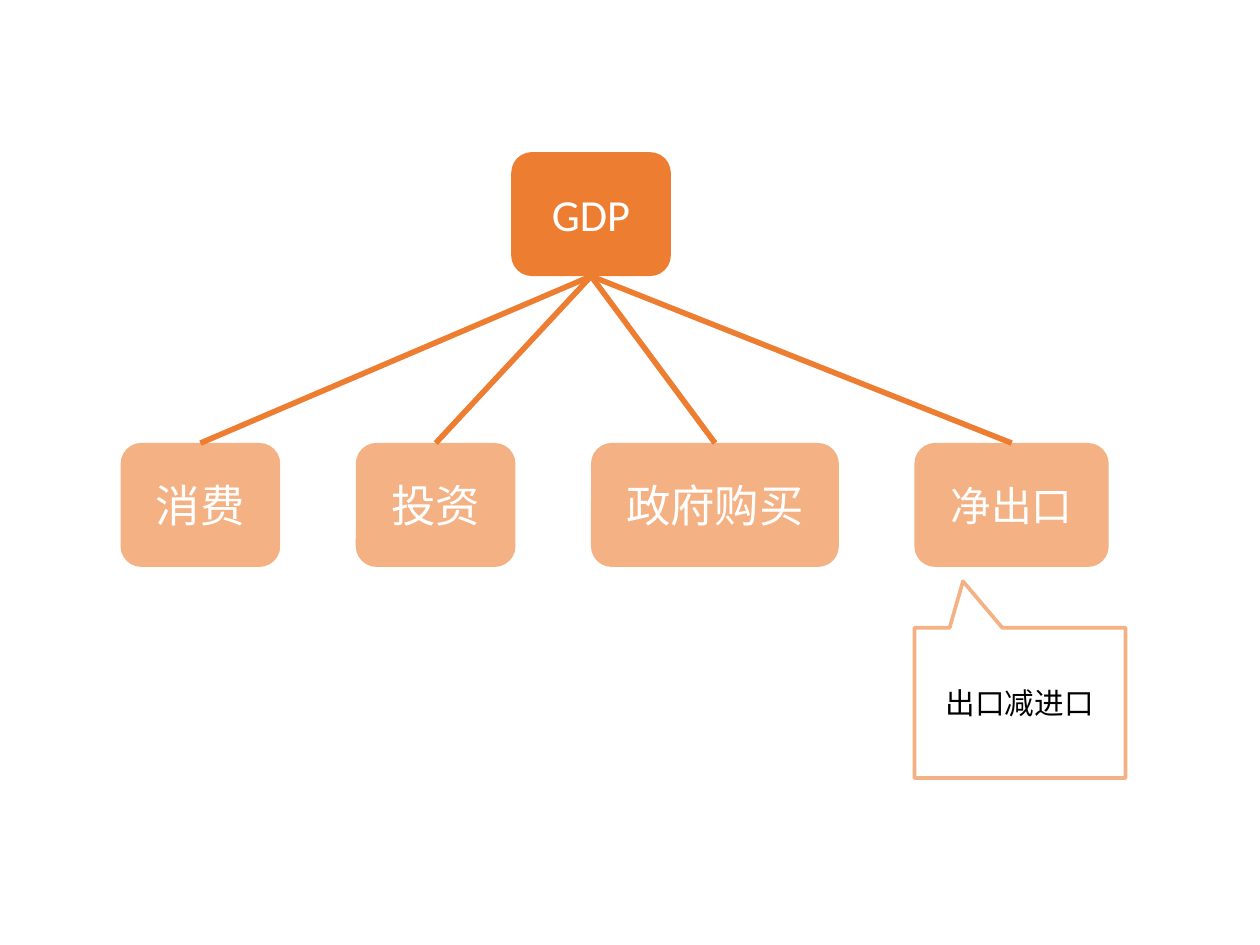
from dataclasses import dataclass

from lxml import etree
from pptx import Presentation
from pptx.dml.color import RGBColor
from pptx.enum.shapes import MSO_CONNECTOR, MSO_SHAPE
from pptx.enum.text import MSO_ANCHOR, PP_ALIGN
from pptx.oxml.ns import qn
from pptx.shapes.autoshape import Shape
from pptx.shapes.shapetree import SlideShapes
from pptx.util import Cm, Pt

ROUNDED = MSO_SHAPE.ROUNDED_RECTANGLE
CALLOUT = MSO_SHAPE.RECTANGULAR_CALLOUT
STRAIGHT = MSO_CONNECTOR.STRAIGHT
MIDDLE = MSO_ANCHOR.MIDDLE
CENTER = PP_ALIGN.CENTER
TOP_SITE, BOTTOM_SITE = 0, 2


@dataclass(frozen=True)
class Theme:
    strong: RGBColor = RGBColor(0xED, 0x7D, 0x31)
    soft: RGBColor = RGBColor(0xF4, 0xB1, 0x83)
    light_text: RGBColor = RGBColor(0xFF, 0xFF, 0xFF)
    dark_text: RGBColor = RGBColor(0x00, 0x00, 0x00)
    latin_font: str = "Calibri"
    chinese_font: str = "Noto Sans CJK SC"
    box_size: float = 12
    tight_size: float = 11
    note_size: float = 8
    branch_width: float = 1.5
    note_width: float = 1


THEME = Theme()


@dataclass(frozen=True)
class Component:
    label: str
    width: float
    size: float = THEME.box_size


COMPONENTS = [
    Component("消费", 1.52),
    Component("投资", 1.52),
    Component("政府购买", 2.36),
    Component("净出口", 1.85, THEME.tight_size),
]
FIRST_LEFT, COMPONENT_TOP, GAP = 1.15, 4.22, 0.72
BOX_HEIGHT = 1.18


def write_label(shape: Shape, label: str, size: float, color: RGBColor, font: str) -> None:
    frame = shape.text_frame
    frame.text = label
    frame.word_wrap = True
    frame.vertical_anchor = MIDDLE
    frame.margin_left = frame.margin_right = frame.margin_top = frame.margin_bottom = 0
    paragraph = frame.paragraphs[0]
    paragraph.alignment = CENTER
    run = paragraph.runs[0]
    run.font.size = Pt(size)
    run.font.color.rgb = color
    run.font.name = font
    east_asian = etree.SubElement(run._r.get_or_add_rPr(), qn("a:ea"))
    east_asian.set("typeface", THEME.chinese_font)


def add_box(shapes: SlideShapes, component: Component, left: float, top: float,
            fill: RGBColor) -> Shape:
    box = shapes.add_shape(ROUNDED, Cm(left), Cm(top), Cm(component.width), Cm(BOX_HEIGHT))
    box.shadow.inherit = False
    box.fill.solid()
    box.fill.fore_color.rgb = fill
    box.line.fill.background()
    write_label(box, component.label, component.size, THEME.light_text, THEME.latin_font)
    return box


def add_branch(shapes: SlideShapes, part: Shape, total: Shape) -> None:
    branch = shapes.add_connector(STRAIGHT, 0, 0, 0, 0)
    branch.begin_connect(part, TOP_SITE)
    branch.end_connect(total, BOTTOM_SITE)
    branch.line.color.rgb = THEME.strong
    branch.line.width = Pt(THEME.branch_width)
    etree.SubElement(branch._element.spPr, qn("a:effectLst"))


def add_note(shapes: SlideShapes, label: str, left: float, top: float) -> None:
    note = shapes.add_shape(CALLOUT, Cm(left), Cm(top), Cm(2.01), Cm(1.43))
    note.shadow.inherit = False
    note.adjustments[0] = -0.27
    note.adjustments[1] = -0.81
    note.fill.background()
    note.line.color.rgb = THEME.soft
    note.line.width = Pt(THEME.note_width)
    write_label(note, label, THEME.note_size, THEME.dark_text, THEME.chinese_font)


def main() -> None:
    presentation = Presentation()
    presentation.slide_width = Cm(12)
    presentation.slide_height = Cm(9)
    shapes = presentation.slides.add_slide(presentation.slide_layouts[6]).shapes

    gdp = add_box(shapes, Component("GDP", 1.52), 4.87, 1.45, THEME.strong)
    parts = []
    left = FIRST_LEFT
    for component in COMPONENTS:
        parts.append(add_box(shapes, component, left, COMPONENT_TOP, THEME.soft))
        left += component.width + GAP
    for part in parts:
        add_branch(shapes, part, gdp)

    net_exports_left = left - COMPONENTS[-1].width - GAP
    add_note(shapes, "出口减进口", net_exports_left, 5.98)
    presentation.save("out.pptx")


main()
